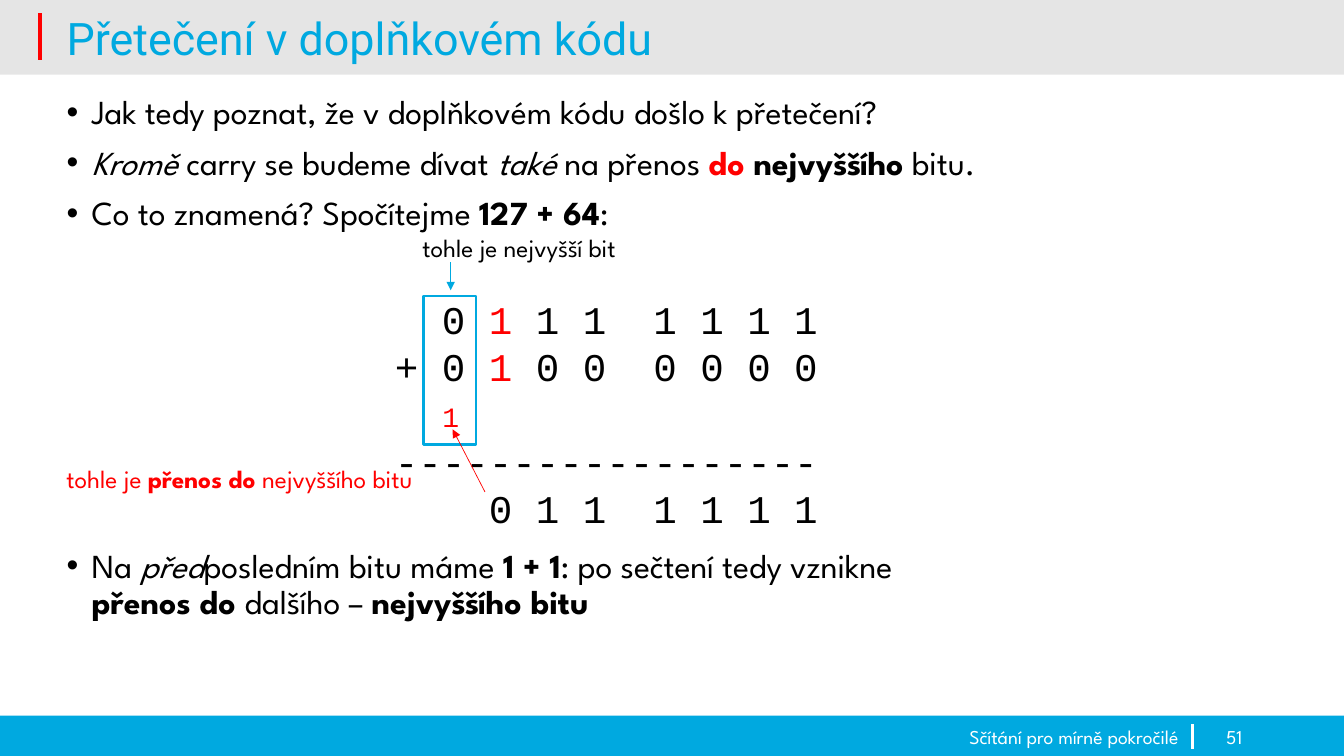
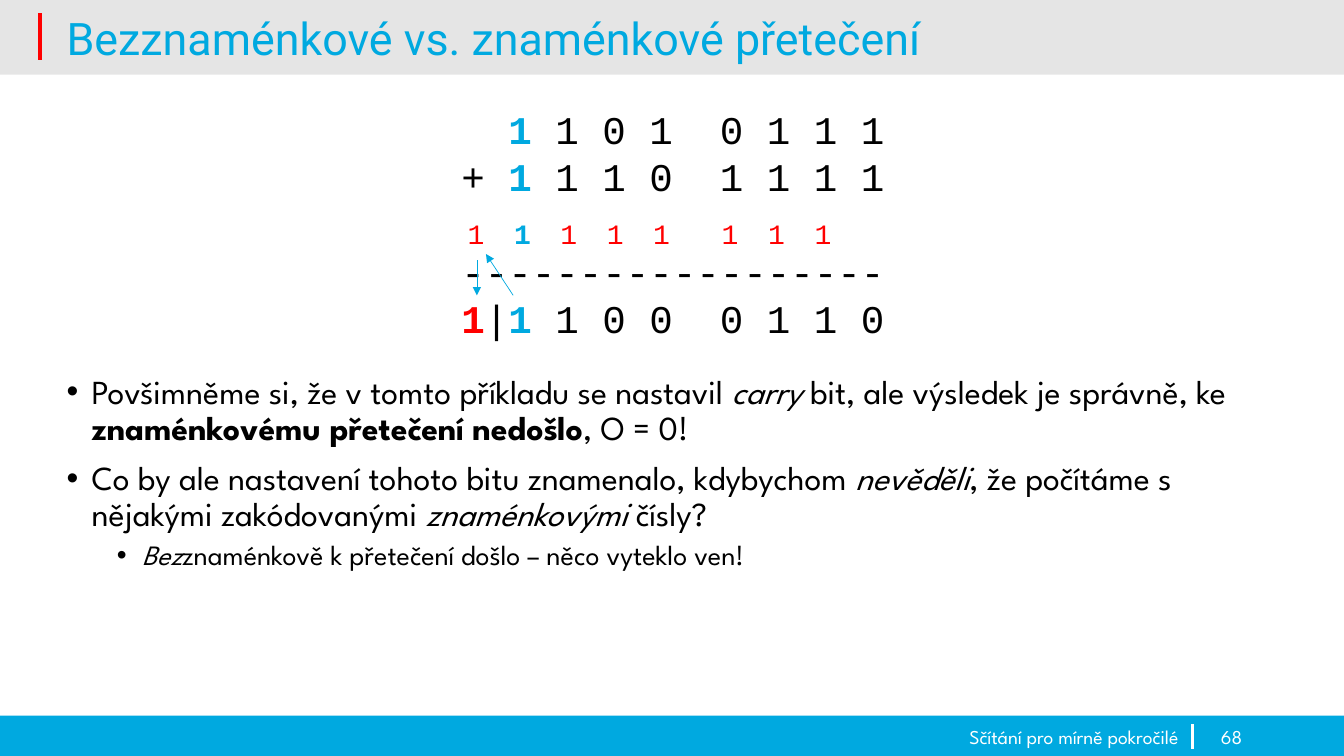
"""Builds two slides about overflow in two's complement addition."""
from lxml import etree
from pptx import Presentation
from pptx.dml.color import RGBColor
from pptx.enum.shapes import MSO_CONNECTOR, MSO_SHAPE
from pptx.enum.text import MSO_ANCHOR, MSO_AUTO_SIZE, PP_ALIGN
from pptx.oxml.ns import qn
from pptx.util import Inches, Pt

BLUE, RED, BLACK, WHITE, GREY = "00A9E0", "FF0000", "000000", "FFFFFF", "E5E5E5"
TITLE_FONT, TEXT_FONT, CODE_FONT = "Roboto", "League Spartan", "Courier New"
FOOTER = "Sčítání pro mírně pokročilé"
DASHES = "-" * 18
BULLET_LEVELS = [{"size": 24, "indent": 0.25, "before": 10},
                 {"size": 20, "indent": 0.75, "before": 5}]
SUM_WIDTH, SUM_HEIGHT, SUM_LINE = 4.41, 2.46, 34
CARRY_SIZE = (0.41, 0.44)

OVERFLOW = {
    "title": "Přetečení v doplňkovém kódu",
    "number": "51",
    "body_at": (0.56, 0.9, 12.18, 6.07),
    "bullets": [
        {"runs": [("Jak tedy poznat, že v doplňkovém kódu došlo k přetečení?",)]},
        {"runs": [("Kromě", "i"), (" carry se budeme dívat ",), ("také", "i"),
                  (" na přenos ",), ("do", "b", RED), (" nejvyššího", "b"),
                  (" bitu.",)]},
        {"runs": [("Co to znamená? Spočítejme ",), ("127 + 64", "b"), (":",)]},
        {"before": 226,
         "runs": [("Na ",), ("před", "i"), ("posledním bitu máme ",),
                  ("1 + 1", "b"), (": po sečtení tedy vznikne \n",),
                  ("přenos do ", "b"), ("dalšího – ",),
                  ("nejvyššího bitu", "b")]},
    ],
    "sum_at": (3.8, 2.88),
    "sum": [
        [("0 ",), ("1", "", RED), (" 1 1  1 1 1 1",)],
        [("+ 0 ",), ("1", "", RED), (" 0 0  0 0 0 0",)],
        [(DASHES,)],
        [("0 1 1  1 1 1 1",)],
    ],
    "carries": [(4.29, 3.91, ("1", "", RED))],
    "labels": [
        ((4.09, 2.26, 2.65, 0.4), [("tohle je nejvyšší bit",)], BLACK),
        ((0.56, 4.55, 4.25, 0.4), [("tohle je ",), ("přenos do", "b"),
                                   (" nejvyššího bitu",)], RED),
    ],
    "frames": [(4.2, 2.94, 0.52, 1.47)],
    "arrows": [((4.47, 2.6), (4.47, 2.88), BLUE, 1),
               ((4.81, 4.88), (4.49, 4.26), RED, 0.5)],
}

CARRY_LEFT, CARRY_TOP, CARRY_STEP, NIBBLE_GAP = 4.54, 2.1, 0.46, 0.22
CARRY_COLUMNS = 8
CARRIES = [(CARRY_LEFT + column * CARRY_STEP + (NIBBLE_GAP if column > 4 else 0),
            CARRY_TOP, ("1", "b", BLUE) if column == 1 else ("1", "", RED))
           for column in range(CARRY_COLUMNS)]

UNSIGNED = {
    "title": "Bezznaménkové vs. znaménkové přetečení",
    "number": "68",
    "body_at": (0.56, 3.67, 12.18, 2.99),
    "bullets": [
        {"runs": [("Povšimněme si, že v tomto příkladu se nastavil ",),
                  ("carry ", "i"), ("bit, ale výsledek je správně, ke",),
                  (" znaménkovému přetečení nedošlo", "b"), (", O = 0!",)]},
        {"runs": [("Co by ale nastavení tohoto bitu znamenalo, kdybychom ",),
                  ("nevěděli", "i"),
                  (", že počítáme s nějakými zakódovanými ",),
                  ("znaménkovými", "i"), (" čísly?",)]},
        {"level": 1,
         "runs": [("Bez", "i"),
                  ("znaménkově k přetečení došlo – něco vyteklo ven!",)]},
    ],
    "sum_at": (4.46, 1),
    "sum": [
        [("1", "b", BLUE), (" 1 0 1  0 1 1 1",)],
        [("+ ",), ("1", "b", BLUE), (" 1 1 0  1 1 1 1",)],
        [(DASHES,)],
        [("1", "b", RED), ("|",), ("1", "b", BLUE), (" 1 0 0  0 1 1 0",)],
    ],
    "carries": CARRIES,
    "labels": [],
    "frames": [],
    "arrows": [((5.09, 2.93), (4.82, 2.52), BLUE, 0.5),
               ((4.73, 2.58), (4.73, 2.93), BLUE, 0.5)],
}


def colour(value):
    """Turn a hex string into a colour."""
    return RGBColor.from_string(value)


def box(values):
    """Turn numbers into lengths in inches."""
    return [Inches(value) for value in values]


def place(shape, values):
    """Move and size a shape."""
    shape.left, shape.top, shape.width, shape.height = box(values)


def write(paragraph, runs, font_name, size, base=BLACK):
    """Fill a paragraph with (text, style, colour) runs."""
    font = paragraph.font
    font.name, font.size = font_name, Pt(size)
    font.color.rgb = colour(base)
    for text, style, run_colour in ((*run, "", None)[:3] if len(run) == 1
                                    else (*run, None)[:3] for run in runs):
        for index, line in enumerate(text.split("\n")):
            if index:
                paragraph.add_line_break()
            if not line:
                continue
            run = paragraph.add_run()
            run.text = line
            run.font.name, run.font.size = font_name, Pt(size)
            run.font.color.rgb = colour(run_colour or base)
            if "b" in style:
                run.font.bold = True
            if "i" in style:
                run.font.italic = True


def add_text(slide, at, rows, font_name, size, base=BLACK, align=PP_ALIGN.LEFT,
             anchor=MSO_ANCHOR.TOP):
    """Add a text box with one paragraph per row and return its paragraphs."""
    frame = slide.shapes.add_textbox(*box(at)).text_frame
    frame.word_wrap = True
    frame.vertical_anchor = anchor
    for index, runs in enumerate(rows):
        paragraph = frame.add_paragraph() if index else frame.paragraphs[0]
        paragraph.alignment = align
        write(paragraph, runs, font_name, size, base)
    return frame.paragraphs


def add_rectangle(slide, at, fill=None, line=None, width=1.5):
    """Add a rectangle, filled or outlined."""
    shape = slide.shapes.add_shape(MSO_SHAPE.RECTANGLE, *box(at))
    shape.shadow.inherit = False
    if fill:
        shape.fill.solid()
        shape.fill.fore_color.rgb = colour(fill)
    else:
        shape.fill.background()
    if line:
        shape.line.color.rgb = colour(line)
        shape.line.width = Pt(width)
    else:
        shape.line.fill.background()
    return shape


def add_line(slide, start, end, line, width, arrow=False):
    """Add a straight line, with an arrowhead at its end if asked."""
    connector = slide.shapes.add_connector(MSO_CONNECTOR.STRAIGHT,
                                           *box((*start, *end)))
    connector.line.color.rgb = colour(line)
    connector.line.width = Pt(width)
    properties = connector.element.spPr
    if arrow:
        etree.SubElement(properties.find(qn("a:ln")), qn("a:tailEnd"),
                         type="triangle")
    etree.SubElement(properties, qn("a:effectLst"))
    return connector


def add_bands(slide, layout):
    """Draw the header and footer bands and move them to the layout."""
    bands = [
        add_rectangle(slide, (0, 7.1, 13.33, 0.4), BLUE),
        add_line(slide, (11.83, 7.43), (11.83, 7.18), WHITE, 2.25),
        add_rectangle(slide, (0, 0, 13.33, 0.74), GREY),
        add_line(slide, (0.4, 0.13), (0.4, 0.6), RED, 3),
    ]
    for position, band in enumerate(bands, start=2):
        layout.shapes.element.insert(position, band.element)


def fill_title(title, text):
    """Write the title."""
    title.text_frame.auto_size = MSO_AUTO_SIZE.NONE
    title.text_frame.vertical_anchor = MSO_ANCHOR.MIDDLE
    paragraph = title.text_frame.paragraphs[0]
    paragraph.alignment = PP_ALIGN.LEFT
    paragraph.line_spacing = 0.9
    write(paragraph, [(text,)], TITLE_FONT, 32, BLUE)


def fill_body(body, bullets):
    """Write the bulleted list."""
    frame = body.text_frame
    frame.auto_size = MSO_AUTO_SIZE.NONE
    for index, bullet in enumerate(bullets):
        paragraph = frame.add_paragraph() if index else frame.paragraphs[0]
        paragraph.level = bullet.get("level", 0)
        level = BULLET_LEVELS[paragraph.level]
        paragraph.line_spacing = 0.9
        paragraph.space_before = Pt(bullet.get("before", level["before"]))
        properties = paragraph._p.get_or_add_pPr()
        properties.set("marL", str(Inches(level["indent"])))
        properties.set("indent", str(Inches(-0.25)))
        etree.SubElement(properties, qn("a:buFont"), typeface="Arial")
        etree.SubElement(properties, qn("a:buChar"), char="•")
        write(paragraph, bullet["runs"], TEXT_FONT, level["size"])


def add_sum(slide, content):
    """Write the binary addition with room for the carries above the dashes."""
    paragraphs = add_text(slide, (*content["sum_at"], SUM_WIDTH, SUM_HEIGHT),
                          content["sum"], CODE_FONT, 28, align=PP_ALIGN.RIGHT)
    paragraphs[2].space_before = Pt(SUM_LINE)


def fill_slide(slide, content):
    """Put all of a slide's content in place."""
    title, body = slide.placeholders
    fill_title(title, content["title"])
    place(body, content["body_at"])
    fill_body(body, content["bullets"])
    for at, text in (((0.92, 7.18, 10.87, 0.25), FOOTER),
                     ((11.92, 7.18, 0.5, 0.25), content["number"])):
        add_text(slide, at, [[(text,)]], TEXT_FONT, 14, WHITE, PP_ALIGN.RIGHT,
                 MSO_ANCHOR.MIDDLE)
    add_sum(slide, content)
    for at in content["frames"]:
        add_rectangle(slide, at, line=BLUE)
    for left, top, run in content["carries"]:
        add_text(slide, (left, top, *CARRY_SIZE), [[run]], CODE_FONT, 20)
    for at, runs, base in content["labels"]:
        add_text(slide, at, [runs], TEXT_FONT, 18, base)
    for start, end, line, width in content["arrows"]:
        add_line(slide, start, end, line, width, arrow=True)


def main():
    """Build and save the presentation."""
    presentation = Presentation()
    presentation.slide_width, presentation.slide_height = box((13.33, 7.5))
    layout = presentation.slide_layouts[1]
    place(layout.placeholders[0], (0.56, 0.07, 12.77, 0.67))
    slides = [presentation.slides.add_slide(layout) for _ in range(2)]
    add_bands(slides[0], layout)
    for slide, content in zip(slides, (OVERFLOW, UNSIGNED)):
        fill_slide(slide, content)
    presentation.save("out.pptx")


if __name__ == "__main__":
    main()
